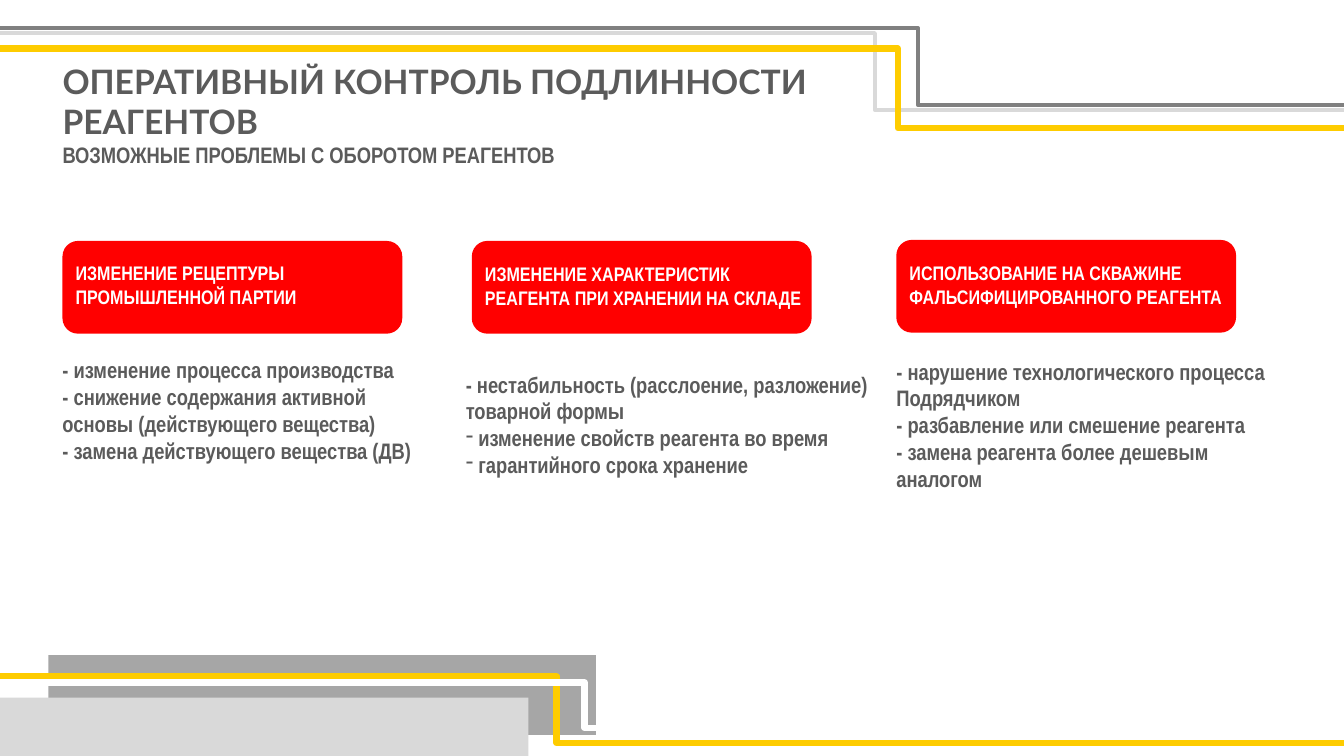
from dataclasses import dataclass

from lxml import etree
from pptx import Presentation
from pptx.dml.color import RGBColor
from pptx.enum.shapes import MSO_CONNECTOR, MSO_SHAPE
from pptx.enum.text import MSO_ANCHOR, PP_ALIGN
from pptx.oxml.ns import qn
from pptx.slide import Slide
from pptx.util import Inches, Pt

ELBOW = MSO_CONNECTOR.ELBOW
RECTANGLE = MSO_SHAPE.RECTANGLE
ROUNDED_RECTANGLE = MSO_SHAPE.ROUNDED_RECTANGLE
MIDDLE = MSO_ANCHOR.MIDDLE
LEFT = PP_ALIGN.LEFT

SLIDE_WIDTH = 13.33
SLIDE_HEIGHT = 7.5
TITLE_FONT = "Lato"
BODY_FONT = "Arial Narrow"
TEXT_GRAY = "5B5B5B"
DARK_GRAY = "808080"
MIDDLE_GRAY = "A6A6A6"
LIGHT_GRAY = "D9D9D9"
YELLOW = "FECC00"
WHITE = "FFFFFF"
RED = "FF0000"


@dataclass(frozen=True)
class Box:
    left: float
    top: float
    width: float
    height: float


@dataclass(frozen=True)
class Band:
    box: Box
    color: str


@dataclass(frozen=True)
class SteppedLine:
    start_y: float
    end_y: float
    bend_x: float
    color: str
    weight: float


@dataclass(frozen=True)
class Problem:
    card: Box
    heading_box: Box
    heading: list[str]
    details_box: Box
    details: list[str]
    first_bullet: int = 99


DECORATIONS: list[Band | SteppedLine] = [
    Band(Box(0.48, 6.5, 5.43, 0.79), MIDDLE_GRAY),
    SteppedLine(0.28, 1.04, 9.11, DARK_GRAY, 3),
    SteppedLine(0.33, 1.09, 8.68, LIGHT_GRAY, 3),
    SteppedLine(0.48, 1.27, 8.9, YELLOW, 4.5),
    Band(Box(0, 6.92, 5.24, 0.58), LIGHT_GRAY),
    SteppedLine(6.71, 7.37, 5.52, YELLOW, 4.5),
    SteppedLine(6.77, 7.22, 5.8, WHITE, 4.5),
]

PROBLEMS = [
    Problem(
        Box(0.62, 2.39, 3.37, 0.92),
        Box(0.75, 2.59, 3.09, 0.47),
        ["ИЗМЕНЕНИЕ РЕЦЕПТУРЫ ПРОМЫШЛЕННОЙ ПАРТИИ"],
        Box(0.62, 3.53, 3.6, 1.08),
        [
            "- изменение процесса производства",
            "- снижение содержания активной основы (действующего вещества)",
            "- замена действующего вещества (ДВ)",
        ],
    ),
    Problem(
        Box(4.68, 2.39, 3.37, 0.92),
        Box(4.81, 2.6, 3.18, 0.47),
        ["ИЗМЕНЕНИЕ ХАРАКТЕРИСТИК", "РЕАГЕНТА ПРИ ХРАНЕНИИ НА СКЛАДЕ"],
        Box(4.62, 3.67, 3.99, 1.08),
        [
            "- нестабильность (расслоение, разложение) товарной формы",
            " изменение свойств реагента во время",
            " гарантийного срока хранение",
        ],
        first_bullet=1,
    ),
    Problem(
        Box(8.89, 2.38, 3.37, 0.92),
        Box(9.02, 2.59, 3.15, 0.47),
        ["ИСПОЛЬЗОВАНИЕ НА СКВАЖИНЕ", "ФАЛЬСИФИЦИРОВАННОГО РЕАГЕНТА"],
        Box(8.89, 3.54, 3.71, 1.35),
        [
            "- нарушение технологического процесса Подрядчиком",
            "- разбавление или смешение реагента",
            "- замена реагента более дешевым аналогом",
        ],
    ),
]


def rgb(color: str) -> RGBColor:
    return RGBColor.from_string(color)


def place(box: Box) -> list[int]:
    return [Inches(value) for value in (box.left, box.top, box.width, box.height)]


def add_block(slide: Slide, box: Box, color: str, kind: MSO_SHAPE = RECTANGLE) -> None:
    shape = slide.shapes.add_shape(kind, *place(box))
    shape.shadow.inherit = False
    shape.fill.solid()
    shape.fill.fore_color.rgb = rgb(color)
    shape.line.fill.background()


def add_stepped_line(slide: Slide, line: SteppedLine) -> None:
    connector = slide.shapes.add_connector(
        ELBOW, Inches(0), Inches(line.start_y), Inches(SLIDE_WIDTH), Inches(line.end_y)
    )
    connector.line.color.rgb = rgb(line.color)
    connector.line.width = Pt(line.weight)
    properties = connector._element.spPr
    adjustments = properties.find(qn("a:prstGeom")).get_or_add_avLst()
    bend = round(line.bend_x / SLIDE_WIDTH * 100000)
    etree.SubElement(adjustments, qn("a:gd"), name="adj1", fmla=f"val {bend}")
    etree.SubElement(properties, qn("a:effectLst"))


def add_text(
    slide: Slide,
    box: Box,
    lines: list[str],
    *,
    size: float,
    font: str = BODY_FONT,
    color: str = TEXT_GRAY,
    first_bullet: int = 99,
) -> None:
    frame = slide.shapes.add_textbox(*place(box)).text_frame
    frame.word_wrap = True
    frame.vertical_anchor = MIDDLE
    frame.margin_left = frame.margin_right = frame.margin_top = frame.margin_bottom = 0
    for index, line in enumerate(lines):
        paragraph = frame.add_paragraph() if index else frame.paragraphs[0]
        paragraph.alignment = LEFT
        if index >= first_bullet:
            properties = paragraph._p.get_or_add_pPr()
            properties.set("marL", "0")
            properties.set("indent", "0")
            etree.SubElement(properties, qn("a:buFontTx"))
            etree.SubElement(properties, qn("a:buChar"), char="-")
        run = paragraph.add_run()
        run.text = line
        run.font.name = font
        run.font.size = Pt(size)
        run.font.bold = True
        run.font.color.rgb = rgb(color)


def main() -> None:
    presentation = Presentation()
    presentation.slide_width = Inches(SLIDE_WIDTH)
    presentation.slide_height = Inches(SLIDE_HEIGHT)
    slide = presentation.slides.add_slide(presentation.slide_layouts[6])

    for decoration in DECORATIONS:
        if isinstance(decoration, Band):
            add_block(slide, decoration.box, decoration.color)
        else:
            add_stepped_line(slide, decoration)

    title = "ОПЕРАТИВНЫЙ КОНТРОЛЬ ПОДЛИННОСТИ РЕАГЕНТОВ"
    subtitle = "ВОЗМОЖНЫЕ ПРОБЛЕМЫ С ОБОРОТОМ РЕАГЕНТОВ"
    add_text(slide, Box(0.62, 0.8, 7.98, 0.4), [title], size=24, font=TITLE_FONT)
    add_text(slide, Box(0.62, 1.4, 4.98, 0.27), [subtitle], size=16)

    for problem in PROBLEMS:
        add_block(slide, problem.card, RED, ROUNDED_RECTANGLE)
        add_text(slide, problem.heading_box, problem.heading, size=14, color=WHITE)
        add_text(
            slide,
            problem.details_box,
            problem.details,
            size=16,
            first_bullet=problem.first_bullet,
        )

    presentation.save("out.pptx")


if __name__ == "__main__":
    main()
